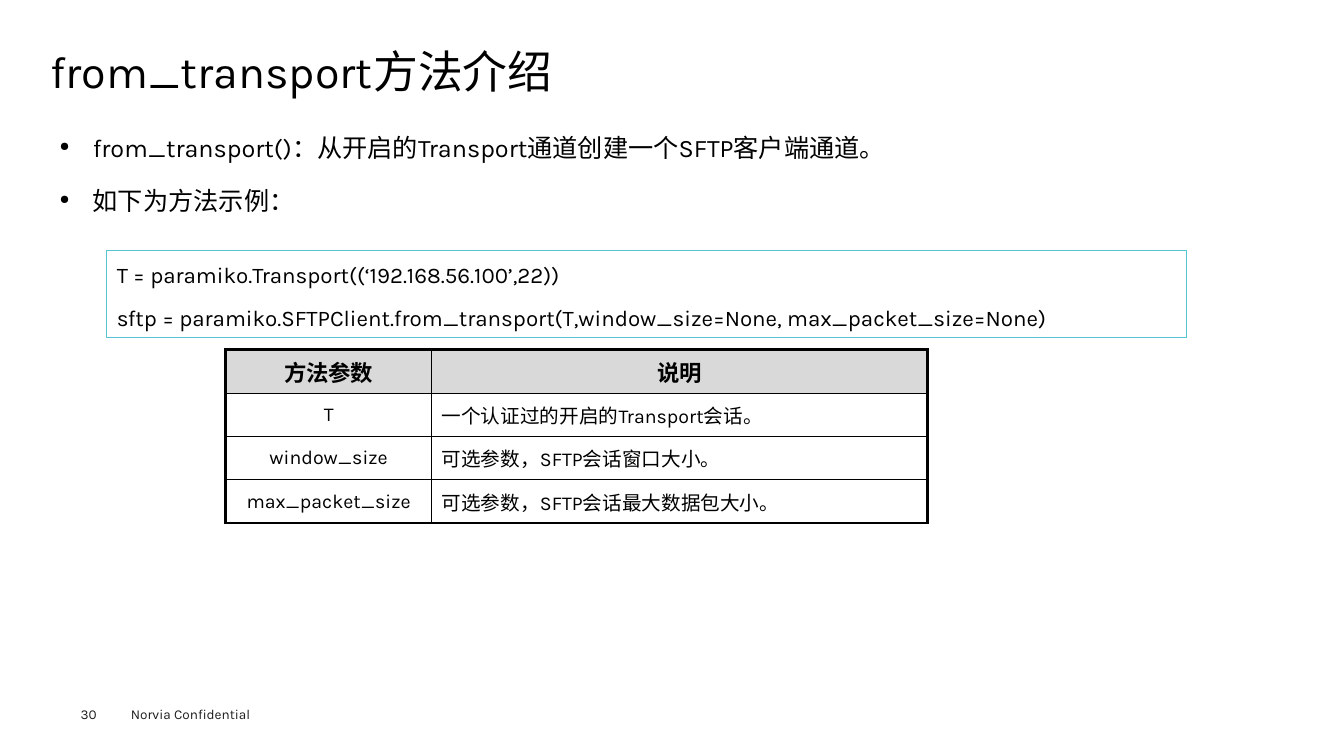
from dataclasses import dataclass, field
from typing import Any

import lxml.etree
import pptx
import pptx.dml.color
import pptx.enum.shapes
import pptx.enum.text
import pptx.oxml
import pptx.oxml.ns
import pptx.util

Inches = pptx.util.Inches
Pt = pptx.util.Pt
qn = pptx.oxml.ns.qn
ALIGN = pptx.enum.text.PP_ALIGN
ANCHOR = pptx.enum.text.MSO_ANCHOR
AUTO_SIZE = pptx.enum.text.MSO_AUTO_SIZE

COLORS = {
    "text": "000000",
    "footer": "1D1D1B",
    "code_border": "56C4D2",
    "header_fill": "D9D9D9",
    "grid": "000000",
}
FONT = "Karla"
DEFAULT_INSETS = (0.1, 0.05)
OUTER_WIDTH, INNER_WIDTH = 2.25, 1


@dataclass
class TextStyle:
    size: float
    color: str = "text"
    bold: bool = False
    bulleted: bool = False
    space_before: float = 0
    paragraph: dict[str, Any] = field(default_factory=dict)


@dataclass
class TextBlock:
    place: tuple[float, float, float, float]
    lines: list[str]
    style: TextStyle
    insets: tuple[float, float] = DEFAULT_INSETS
    border: str | None = None
    grows: bool = False


def color(name: str) -> pptx.dml.color.RGBColor:
    return pptx.dml.color.RGBColor.from_string(COLORS[name])


def set_all(target: Any, values: dict[str, Any]) -> None:
    for name, value in values.items():
        setattr(target, name, value)


def add_bullet(para: Any) -> None:
    properties = para._p.get_or_add_pPr()
    properties.set("marL", str(Inches(0.33)))
    properties.set("indent", str(Inches(-0.33)))
    lxml.etree.SubElement(properties, qn("a:buSzPct")).set("val", "50000")
    lxml.etree.SubElement(properties, qn("a:buChar")).set("char", "●")


def write_lines(frame: Any, lines: list[str], style: TextStyle) -> None:
    for index, line in enumerate(lines):
        para = frame.add_paragraph() if index else frame.paragraphs[0]
        if style.bulleted:
            add_bullet(para)
        set_all(para, {"alignment": ALIGN.LEFT} | style.paragraph)
        if index:
            para.space_before = Pt(style.space_before)
        span = para.add_run()
        span.text = line
        set_all(span.font, {"name": FONT, "size": Pt(style.size), "bold": style.bold})
        span.font.color.rgb = color(style.color)


def add_block(page: Any, block: TextBlock) -> None:
    place = [Inches(length) for length in block.place]
    if block.border:
        box = page.shapes.add_shape(pptx.enum.shapes.MSO_SHAPE.RECTANGLE, *place)
        box.shadow.inherit = False
        box.fill.background()
        box.line.color.rgb = color(block.border)
        box.line.width = Pt(0.75)
    else:
        box = page.shapes.add_textbox(*place)
    side, end = (Inches(inset) for inset in block.insets)
    set_all(box.text_frame, {
        "word_wrap": True,
        "vertical_anchor": ANCHOR.TOP,
        "auto_size": AUTO_SIZE.SHAPE_TO_FIT_TEXT if block.grows else AUTO_SIZE.NONE,
        "margin_left": side,
        "margin_right": side,
        "margin_top": end,
        "margin_bottom": end,
    })
    write_lines(box.text_frame, block.lines, block.style)


def add_borders(cell: Any, outer_sides: dict[str, bool]) -> None:
    properties = cell._tc.get_or_add_tcPr()
    for index, (side, is_outer) in enumerate(outer_sides.items()):
        line = lxml.etree.Element(qn(f"a:ln{side}"))
        line.set("w", str(Pt(OUTER_WIDTH if is_outer else INNER_WIDTH)))
        fill = lxml.etree.SubElement(line, qn("a:solidFill"))
        lxml.etree.SubElement(fill, qn("a:srgbClr")).set("val", COLORS["grid"])
        properties.insert(index, line)


def add_parameter_table(page: Any, rows: list[tuple[str, str]]) -> None:
    widths = (2.04, 4.92)
    row_height = 0.43
    frame = page.shapes.add_table(
        len(rows), len(widths), Inches(2.24), Inches(3.47),
        Inches(sum(widths)), Inches(row_height * len(rows)),
    )
    table = frame.table
    set_all(table, {"first_row": False, "horz_banding": False})
    for column, width in zip(table.columns, widths):
        column.width = Inches(width)
    last_row, last_column = len(rows) - 1, len(widths) - 1
    for r, texts in enumerate(rows):
        table.rows[r].height = Inches(row_height)
        for c, text in enumerate(texts):
            cell = table.cell(r, c)
            cell.vertical_anchor = ANCHOR.MIDDLE
            is_header = r == 0
            if is_header:
                cell.fill.solid()
                cell.fill.fore_color.rgb = color("header_fill")
            else:
                cell.fill.background()
            centred = is_header or c == 0
            style = TextStyle(
                16 if is_header else 14,
                bold=is_header,
                paragraph={"alignment": ALIGN.CENTER if centred else ALIGN.LEFT},
            )
            write_lines(cell.text_frame, [text], style)
            add_borders(cell, {
                "L": c == 0, "R": c == last_column, "T": r == 0, "B": r == last_row,
            })


FOOTER = TextStyle(9.7, "footer")
BLOCKS = [
    TextBlock((1.2, 6.95, 1.6, 0.27), ["Norvia Confidential"], FOOTER, grows=True),
    TextBlock((0.8, 7, 0.55, 0.16), ["30"], FOOTER, (0, 0), grows=True),
    TextBlock(
        (0.5, 0.49, 12.35, 0.53),
        ["from_transport方法介绍"],
        TextStyle(32, paragraph={"line_spacing": 0.9}),
        (0, 0),
    ),
    TextBlock(
        (0.5, 1.15, 12.35, 5.34),
        ["from_transport()：从开启的Transport通道创建一个SFTP客户端通道。", "如下为方法示例："],
        TextStyle(
            18, bulleted=True, space_before=7.9,
            paragraph={"alignment": ALIGN.JUSTIFY, "line_spacing": 1.4},
        ),
        (0.09, 0.04),
    ),
    TextBlock(
        (1.06, 2.49, 10.71, 0.86),
        [
            "T = paramiko.Transport((‘192.168.56.100’,22))",
            "sftp = paramiko.SFTPClient.from_transport(T,window_size=None, max_packet_size=None)",
        ],
        TextStyle(16, space_before=7.9, paragraph={"line_spacing": 1.2}),
        border="code_border",
        grows=True,
    ),
]
PARAMETERS = [
    ("方法参数", "说明"),
    ("T", "一个认证过的开启的Transport会话。"),
    ("window_size", "可选参数，SFTP会话窗口大小。"),
    ("max_packet_size", "可选参数，SFTP会话最大数据包大小。"),
]


def main() -> None:
    deck = pptx.Presentation()
    set_all(deck, {"slide_width": Inches(13.33), "slide_height": Inches(7.5)})
    page = deck.slides.add_slide(deck.slide_layouts[6])
    for block in BLOCKS:
        add_block(page, block)
    add_parameter_table(page, PARAMETERS)
    deck.save("out.pptx")


if __name__ == "__main__":
    main()
